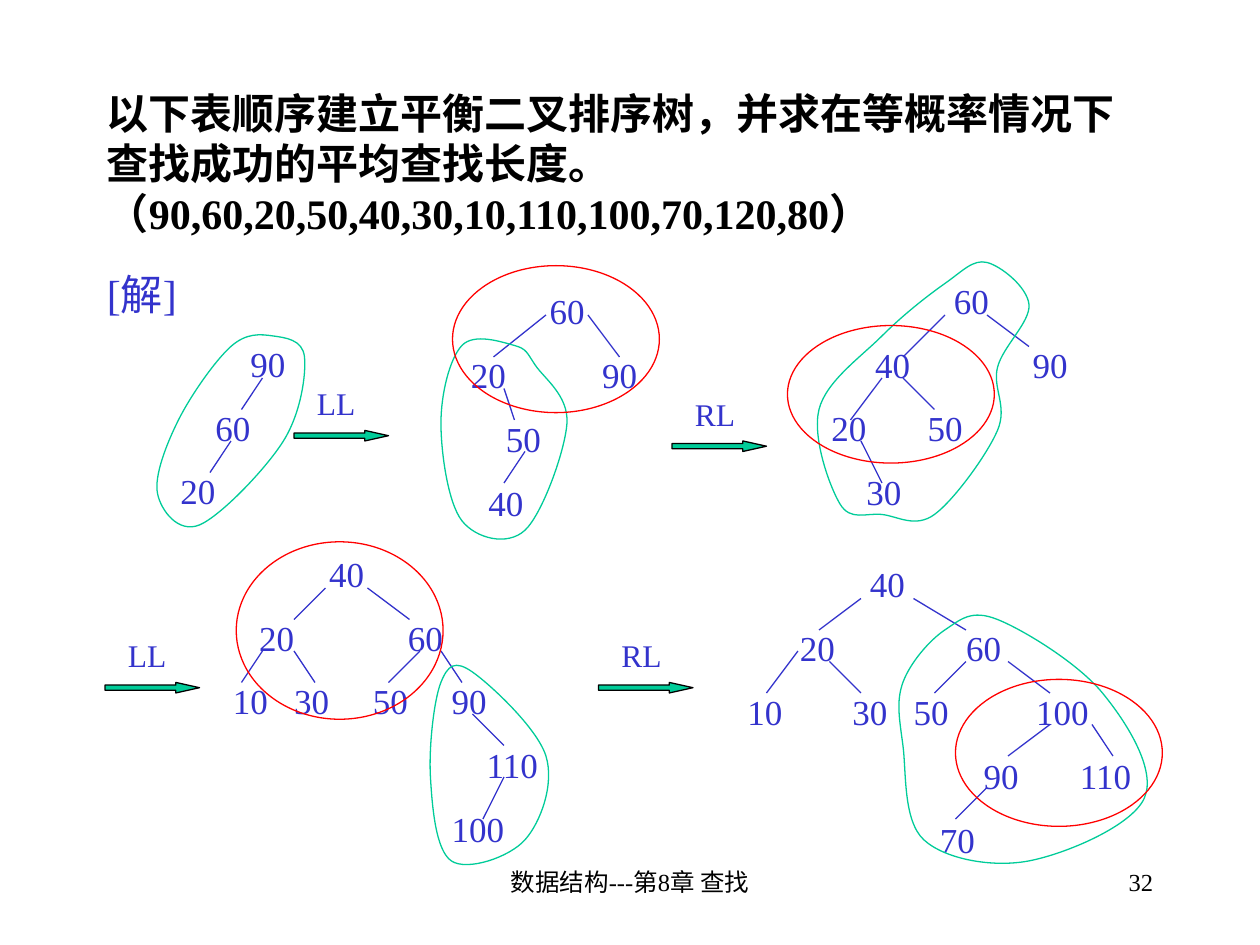
from lxml.etree import SubElement
from pptx import Presentation
from pptx.dml.color import RGBColor
from pptx.enum.shapes import MSO_CONNECTOR, MSO_SHAPE
from pptx.enum.text import MSO_ANCHOR, PP_ALIGN
from pptx.oxml.ns import qn
from pptx.util import Inches, Pt

COLUMNS = 120
BLUE, GREEN, RED, BLACK = "3333CC", "00CC99", "FF0000", "000000"

presentation = Presentation()
presentation.slide_width = Inches(10)
presentation.slide_height = Inches(7.5)
slide = presentation.slides.add_slide(presentation.slide_layouts[6])
shapes = slide.shapes
cell = presentation.slide_width // COLUMNS
half_digit = Pt(5)


def color(hex_value):
    return RGBColor.from_string(hex_value)


def write(rows, box, size=20, hex_value=BLUE, bold=False,
          align=PP_ALIGN.LEFT, anchor=MSO_ANCHOR.TOP, gap=12.5):
    frame = shapes.add_textbox(*[cell * length for length in box]).text_frame
    frame.word_wrap = True
    frame.vertical_anchor = anchor
    for index, row in enumerate(rows):
        paragraph = frame.paragraphs[0] if index == 0 else frame.add_paragraph()
        paragraph.alignment = align
        if index:
            paragraph.space_before = Pt(gap)
        stops = [stop for stop, label in row if stop]
        if stops:
            tab_list = SubElement(paragraph._p.get_or_add_pPr(), qn("a:tabLst"))
            for stop in stops:
                SubElement(tab_list, qn("a:tab"), pos=str(half_digit * stop), algn="l")
        run = paragraph.add_run()
        run.text = "".join(("\t" if stop else "") + label for stop, label in row)
        run.font.name = "Times New Roman"
        run.font.size = Pt(size)
        run.font.bold = bold
        run.font.color.rgb = color(hex_value)


write([[(0, "数据结构---第8章 查找")]], (41, 82, 38, 6), size=14, hex_value=BLACK,
      align=PP_ALIGN.CENTER)
write([[(0, "32")]], (86, 82, 25, 6), size=14, hex_value=BLACK, align=PP_ALIGN.RIGHT)
write([[(0, "以下表顺序建立平衡二叉排序树，并求在等概率情况下查找成功的平均查找长度。"
            "（90,60,20,50,40,30,10,110,100,70,120,80）")]],
      (9, 8, 102, 15), size=24, hex_value=BLACK, bold=True, anchor=MSO_ANCHOR.MIDDLE)
write([[(0, "[解]")]], (9, 25, 102, 55), size=24)

trees = [
    ((16, 32, 13, 17),
     [[(8, "90")], [(4, "60")], [(0, "20")]],
     [(25, 36, 23, 39), (22, 42, 20, 45)]),
    ((42, 27, 21, 24),
     [[(11, "60")], [(2, "20"), (17, "90")], [(6, "50")], [(4, "40")]],
     [(52, 30, 47, 34), (56, 30, 59, 34), (48, 37, 49, 40), (50, 43, 48, 46)]),
    ((78, 26, 30, 24),
     [[(14, "60")], [(5, "40"), (23, "90")], [(0, "20"), (11, "50")], [(4, "30")]],
     [(90, 30, 86, 34), (94, 30, 98, 33), (84, 36, 81, 40), (86, 36, 89, 39),
      (82, 42, 84, 46)]),
    ((21, 52, 32, 30),
     [[(11, "40")], [(3, "20"), (20, "60")],
      [(0, "10"), (7, "30"), (16, "50"), (25, "90")], [(29, "110")], [(25, "100")]],
     [(31, 56, 28, 59), (35, 56, 39, 59), (25, 62, 23, 65), (28, 62, 30, 65),
      (40, 62, 37, 65), (42, 62, 44, 65), (45, 68, 48, 71), (48, 74, 46, 78)]),
    ((70, 53, 43, 30),
     [[(14, "40")], [(6, "20"), (25, "60")],
      [(0, "10"), (12, "30"), (19, "50"), (33, "100")],
      [(27, "90"), (38, "110")], [(22, "70")]],
     [(82, 57, 78, 60), (87, 57, 92, 60), (76, 62, 73, 66), (79, 63, 82, 66),
      (92, 63, 89, 66), (96, 63, 100, 66), (100, 69, 96, 72), (104, 69, 106, 72),
      (94, 75, 91, 78)]),
]
for box, rows, branches in trees:
    write(rows, box)
    for branch in branches:
        connector = shapes.add_connector(
            MSO_CONNECTOR.STRAIGHT, *[cell * length for length in branch])
        connector.line.color.rgb = color(BLUE)
        connector.line.width = Pt(0.75)
        SubElement(connector._element.spPr, qn("a:effectLst"))

for rotation, column, row in [("LL", 28, 41), ("RL", 64, 42), ("LL", 10, 65), ("RL", 57, 65)]:
    arrow = shapes.add_shape(
        MSO_SHAPE.RIGHT_ARROW, cell * column, cell * row, cell * 9, cell)
    arrow.adjustments[0] = 0.5
    arrow.adjustments[1] = 2.25
    arrow.shadow.inherit = False
    arrow.fill.solid()
    arrow.fill.fore_color.rgb = color(GREEN)
    arrow.line.color.rgb = color(BLACK)
    arrow.line.width = Pt(0.75)
    write([[(0, rotation)]], (column + 1, row - 5, 7, 5), size=18)

outlines = []
loops = [
    [(26, 32), (22, 33), (17, 40), (15, 47), (19, 50), (27, 42), (29, 34)],
    [(49, 32.9), (44, 32.9), (42, 40.3), (44, 49.6), (50, 50.5), (54, 40.3), (51, 34.8)],
    [(94, 25), (90, 27), (84, 32), (78, 39), (80, 48), (84, 49), (89, 49), (95, 41),
     (95, 35), (98, 29)],
    [(45, 64), (42, 65), (41, 74), (43, 82), (50, 80), (52, 72)],
    [(95, 59), (90, 60), (86, 65), (86, 71), (88, 80), (98, 82), (109, 76), (105, 66)],
]
for loop in loops:
    builder = shapes.build_freeform(*loop[0], scale=cell)
    builder = shapes.build_freeform(
        int(loop[0][0] * cell), int(loop[0][1] * cell))
    builder.add_line_segments(
        [(int(x * cell), int(y * cell)) for x, y in loop[1:] + loop[:1]], close=True)
    outline = builder.convert_to_shape()
    segments = list(outline._element.iter(qn("a:lnTo")))
    ends = [(int(segment[0].get("x")), int(segment[0].get("y"))) for segment in segments]
    for index, segment in enumerate(segments):
        before, start, end, after = [
            ends[(index + step) % len(ends)] for step in (-2, -1, 0, 1)]
        controls = [
            [a + (c - b) // 6 for a, b, c in zip(start, before, end)],
            [a - (c - b) // 6 for a, b, c in zip(end, start, after)],
        ]
        segment.tag = qn("a:cubicBezTo")
        for x, y in reversed(controls):
            point = SubElement(segment, qn("a:pt"), x=str(x), y=str(y))
            segment.insert(0, point)
    outlines.append((outline, GREEN))

for left, top, height in [(43.1, 25.3, 14), (75, 31, 13.1), (22.5, 51.6, 16.9), (91, 64.7, 14)]:
    ellipse = shapes.add_shape(
        MSO_SHAPE.OVAL, *[int(cell * length) for length in (left, top, 19.7, height)])
    outlines.append((ellipse, RED))

for outline, hex_value in outlines:
    outline.shadow.inherit = False
    outline.fill.background()
    outline.line.color.rgb = color(hex_value)
    outline.line.width = Pt(0.75)

presentation.save("out.pptx")
